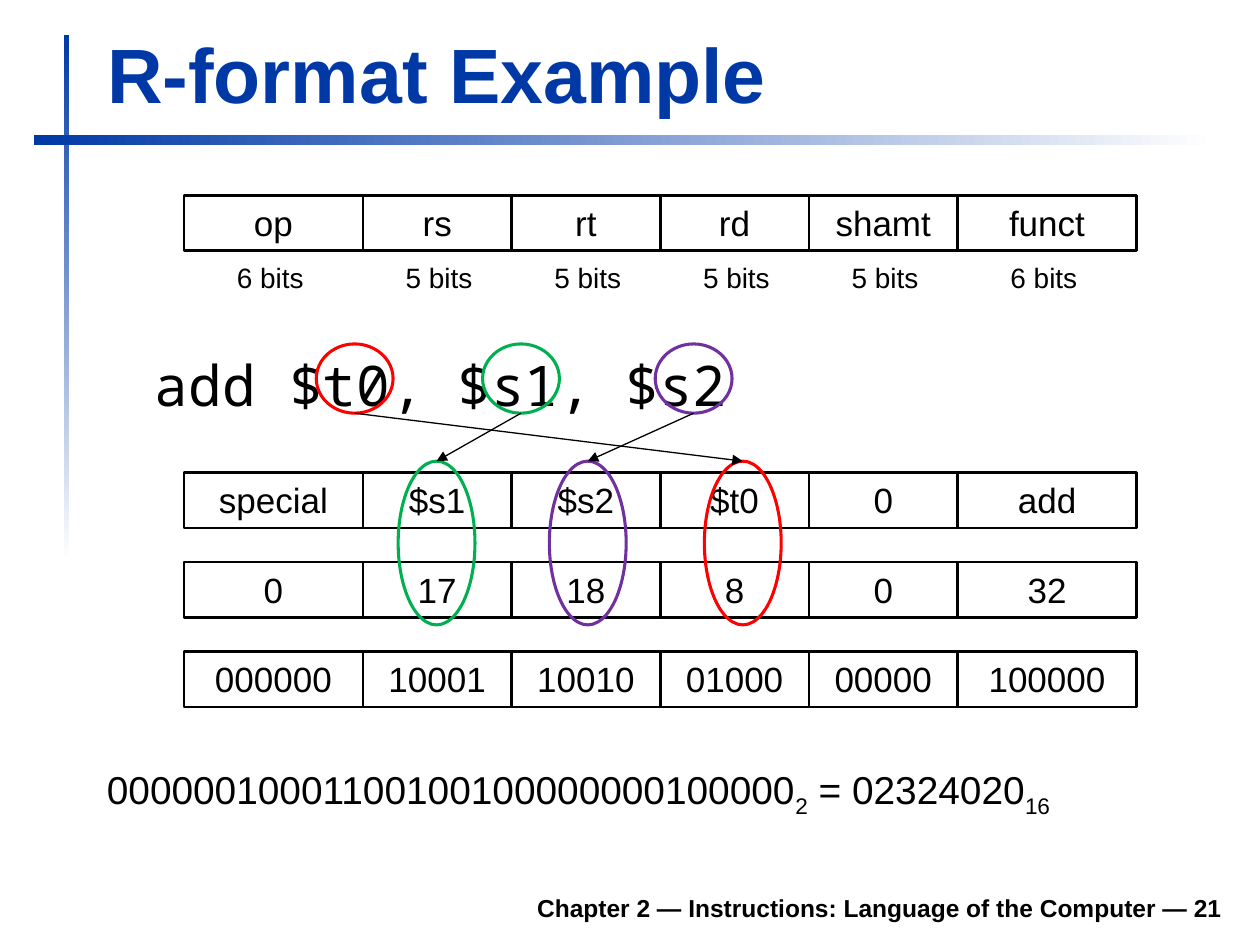
import dataclasses

import pptx
import pptx.dml.color
import pptx.enum.shapes
import pptx.enum.text
import pptx.oxml
import pptx.oxml.ns
import pptx.util

RGB = pptx.dml.color.RGBColor.from_string
SHAPE = pptx.enum.shapes.MSO_SHAPE
ALIGN = pptx.enum.text.PP_ALIGN
ANCHOR = pptx.enum.text.MSO_ANCHOR
WIDE, HIGH = pptx.util.Inches(10), pptx.util.Inches(7.5)


@dataclasses.dataclass(frozen=True)
class Theme:
    sans: str = "Arial"
    mono: str = "Noto Sans Mono"
    ink: str = "000000"
    blue: str = "0039A6"
    white: str = "FFFFFF"
    red: str = "FF0000"
    green: str = "00B050"
    violet: str = "7030A0"
    title: float = 44
    code: float = 32
    sum: float = 22.2
    cell: float = 20
    bits: float = 16
    foot: float = 14


THEME = Theme()

# Shares of the slide, in percent
LEFT, ROW = 14.6, 5.87
COLS = [14.2] + [11.8] * 4 + [14.2]
EDGES = [LEFT + sum(COLS[:n]) for n in range(len(COLS))]
HEAD_TOP, BITS_TOP, GRID_TOP, STEP = 20.67, 26.93, 50, 9.47
OVAL = 6.1

HEAD = ["op", "rs", "rt", "rd", "shamt", "funct"]
BITS = [6, 5, 5, 5, 5, 6]
GRID = [
    ["special", "$s1", "$s2", "$t0", "0", "add"],
    ["0", "17", "18", "8", "0", "32"],
    ["000000", "10001", "10010", "01000", "00000", "100000"],
]
# Colour, left of the oval in the code, left of the oval in the grid
LINKS = [
    (THEME.red, 25.1, 55.9),
    (THEME.green, 38.3, 31.6),
    (THEME.violet, 52, 43.6),
]
SUM = [("00000010001100100100100000000100000"[:0] + "00000010001100100100000000100000", 0),
       ("2", -25), (" = 02324020", 0), ("16", -25)]


def place(x, y, w, h):
    """Turn percent shares of the slide into lengths."""
    return [round(part * full / 100)
            for part, full in zip((x, y, w, h), (WIDE, HIGH, WIDE, HIGH))]


def apply(item, values):
    for name, value in values.items():
        setattr(item, name, value)


def write(shape, parts, size, face=THEME.sans, color=THEME.ink, bold=False,
          align=ALIGN.LEFT, anchor=ANCHOR.TOP, wrap=True):
    """Fill a shape with one paragraph of (text, baseline) runs."""
    frame = shape.text_frame
    apply(frame, {"word_wrap": wrap, "vertical_anchor": anchor,
                  "auto_size": pptx.enum.text.MSO_AUTO_SIZE.NONE})
    para = frame.paragraphs[0]
    apply(para, {"alignment": align, "space_before": pptx.util.Pt(0)})
    for text, base in parts:
        run = para.add_run()
        run.text = text
        apply(run.font, {"name": face, "size": pptx.util.Pt(size), "bold": bold})
        run.font.color.rgb = RGB(color)
        if base:
            run._r.get_or_add_rPr().set("baseline", str(base * 1000))
    return para


def label(slide, area, parts, size, **look):
    return write(slide.shapes.add_textbox(*place(*area)), parts, size, **look)


def hold(slide, index, area, text, size, **look):
    """Move a placeholder and write in it."""
    shape = slide.placeholders[index]
    apply(shape, dict(zip(("left", "top", "width", "height"), place(*area))))
    return write(shape, [(text, 0)], size, **look)


def fade(slide, area, angle):
    bar = slide.shapes.add_shape(SHAPE.RECTANGLE, *place(*area))
    bar.shadow.inherit = False
    bar.line.fill.background()
    bar.fill.gradient()
    bar.fill.gradient_angle = angle
    for stop, color in zip(bar.fill.gradient_stops, (THEME.blue, THEME.white)):
        stop.color.rgb = RGB(color)


def frame(slide, kind, area, color, width):
    shape = slide.shapes.add_shape(kind, *place(*area))
    shape.shadow.inherit = False
    shape.fill.background()
    shape.line.color.rgb = RGB(color)
    shape.line.width = pptx.util.Pt(width)
    return shape


def row(slide, top, words):
    for left, width, word in zip(EDGES, COLS, words):
        cell = frame(slide, SHAPE.RECTANGLE, (left, top, width, ROW), THEME.ink, 1.5)
        write(cell, [(word, 0)], THEME.cell, align=ALIGN.CENTER)


def arrow(slide, start, end):
    x, y, far, low = place(*start, *end)
    line = slide.shapes.add_connector(
        pptx.enum.shapes.MSO_CONNECTOR.STRAIGHT, x, y, far, low)
    line.line.color.rgb = RGB(THEME.ink)
    line.line.width = pptx.util.Pt(0.75)
    space = pptx.oxml.ns.nsdecls("a")
    tip = pptx.oxml.parse_xml(f'<a:tailEnd {space} type="triangle"/>')
    line.line._get_or_add_ln().append(tip)
    line._element.spPr.append(pptx.oxml.parse_xml(f"<a:effectLst {space}/>"))


def main():
    deck = pptx.Presentation()
    apply(deck, {"slide_width": WIDE, "slide_height": HIGH})
    slide = deck.slides.add_slide(deck.slide_layouts[1])

    # Rules, title and footer
    fade(slide, (5.1, 3.73, 0.4, 55.6), 270)
    fade(slide, (2.7, 14.27, 93.7, 1.07), 0)
    hold(slide, 0, (7.5, 2.13, 90.3, 11.07), "R-format Example", THEME.title,
         color=THEME.blue, bold=True, anchor=ANCHOR.BOTTOM)
    label(slide, (18.5, 93.07, 79.5, 5.2),
          [("Chapter 2 — Instructions: Language of the Computer — 21", 0)],
          THEME.foot, bold=True, align=ALIGN.RIGHT, anchor=ANCHOR.BOTTOM)

    # Line of code
    code = hold(slide, 1, (7.5, 36.4, 90.4, 9.47), "add $t0, $s1, $s2",
                THEME.code, face=THEME.mono)
    props = code._p.get_or_add_pPr()
    apply_indent = {"marL": pptx.util.Inches(0.38), "indent": 0}
    for name, value in apply_indent.items():
        props.set(name, str(value))
    props.append(pptx.oxml.parse_xml(f'<a:buNone {pptx.oxml.ns.nsdecls("a")}/>'))

    # Field names and widths
    row(slide, HEAD_TOP, HEAD)
    for left, count in zip(EDGES, BITS):
        inset = 3.2 if count == 6 else 2.4
        label(slide, (left + inset, BITS_TOP, 7.3, 4.93), [(f"{count} bits", 0)],
              THEME.bits, align=ALIGN.CENTER, wrap=False)

    # Encoded fields and the whole word
    for index, words in enumerate(GRID):
        row(slide, GRID_TOP + index * STEP, words)
    label(slide, (7.5, 80.4, 89, 7.33), SUM, THEME.sum)

    # Registers linked to their fields
    for color, source, target in LINKS:
        for left, top, height in ((source, 36.4, 7.33), (target, 48.8, 17.33)):
            frame(slide, SHAPE.OVAL, (left, top, OVAL, height), color, 1.75)
    for color, source, target in LINKS:
        arrow(slide, (source + OVAL / 2, 43.73), (target + OVAL / 2, 48.8))

    deck.save("out.pptx")


if __name__ == "__main__":
    main()
